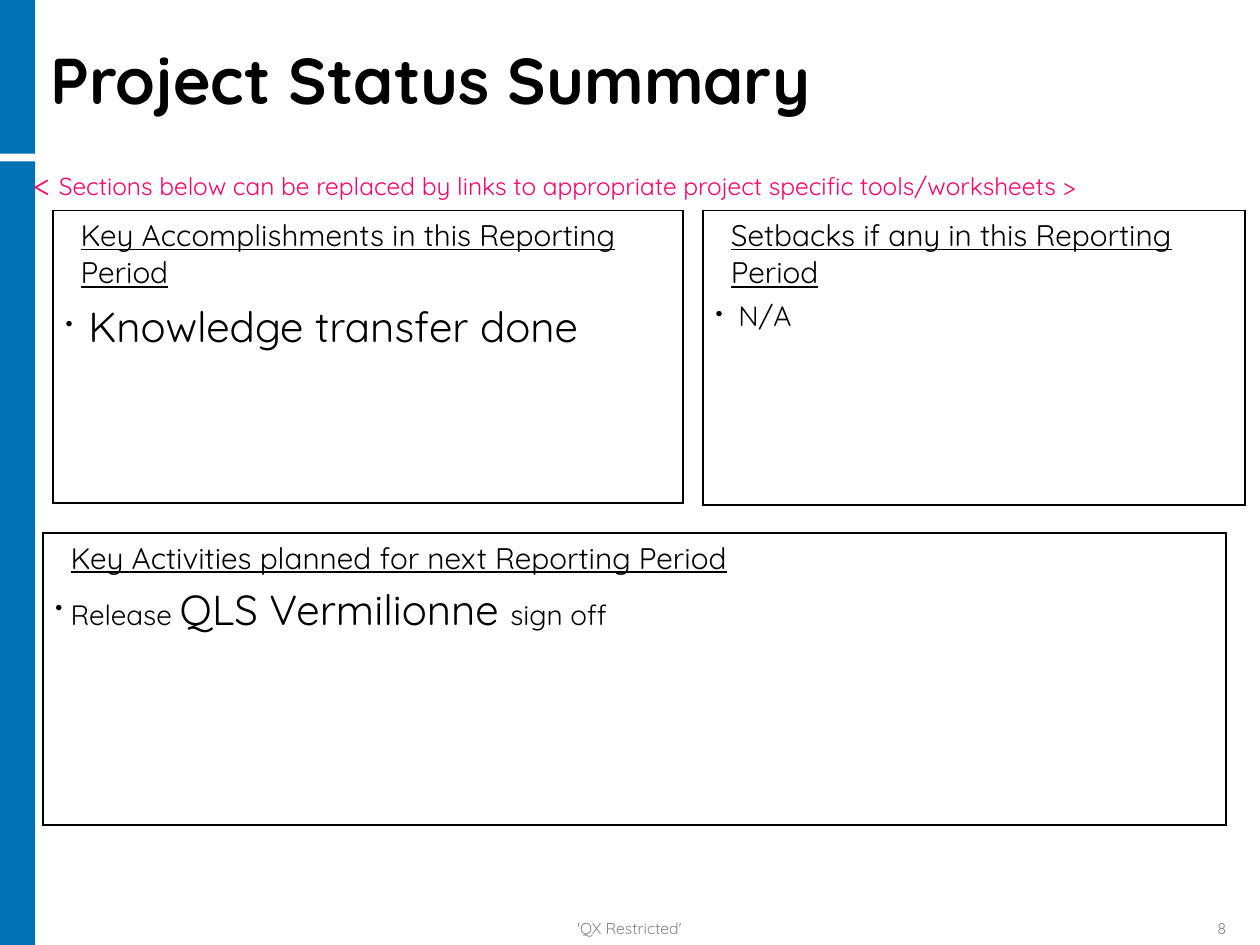
from lxml.etree import SubElement
from pptx import Presentation
from pptx.dml.color import RGBColor
from pptx.enum.shapes import MSO_SHAPE
from pptx.enum.text import MSO_ANCHOR, MSO_AUTO_SIZE, PP_ALIGN
from pptx.oxml import parse_xml
from pptx.oxml.ns import nsdecls, qn
from pptx.util import Inches, Pt

FONT = "Quicksand"
BLACK, BLUE, PINK, GREY = "000000", "0071B4", "FF0066", "848589"
INDENT = Inches(0.12)


def color(hex_code):
    return RGBColor.from_string(hex_code)


def add_span(para, text, size, hex_code=BLACK, bold=False, underline=False):
    span = para.add_run()
    span.text = text
    font = span.font
    font.name, font.size = FONT, Pt(size)
    font.bold, font.underline = bold, underline
    font.color.rgb = color(hex_code)


def add_side_bar(page, box):
    bar = page.shapes.add_shape(MSO_SHAPE.RECTANGLE, *map(Inches, box))
    bar.shadow.inherit = False
    bar.fill.solid()
    bar.fill.fore_color.rgb = color(BLUE)
    bar.line.fill.background()


def place_title(page, box, text):
    title = page.shapes.title
    title.left, title.top, title.width, title.height = map(Inches, box)
    frame = title.text_frame
    frame.margin_left = frame.margin_right = 0
    frame.margin_top = frame.margin_bottom = 0
    frame.auto_size = MSO_AUTO_SIZE.NONE
    frame.vertical_anchor = MSO_ANCHOR.MIDDLE
    para = frame.paragraphs[0]
    para.alignment = PP_ALIGN.LEFT
    para.line_spacing = 0.9
    add_span(para, text, 37, bold=True)


def add_text(page, box, spans, hex_code, align=PP_ALIGN.LEFT,
             anchor=MSO_ANCHOR.TOP, wrap=True):
    frame = page.shapes.add_textbox(*map(Inches, box)).text_frame
    frame.word_wrap = wrap
    frame.vertical_anchor = anchor
    para = frame.paragraphs[0]
    para.alignment = align
    for text, size in spans:
        add_span(para, text, size, hex_code)


def set_borders(cell, width, hex_code):
    props = cell._tc.get_or_add_tcPr()
    for index, side in enumerate(("lnL", "lnR", "lnT", "lnB")):
        props.insert(index, parse_xml(
            f'<a:{side} {nsdecls("a")} w="{Pt(width)}"><a:solidFill>'
            f'<a:srgbClr val="{hex_code}"/></a:solidFill></a:{side}>'))


def set_indent(para, first_line=0):
    props = para._p.get_or_add_pPr()
    props.set("marL", str(INDENT))
    props.set("indent", str(first_line))
    return props


def set_bullet(para):
    props = set_indent(para, -INDENT)
    tint = SubElement(props, qn("a:buClr"))
    SubElement(tint, qn("a:srgbClr"), val=BLACK)
    SubElement(props, qn("a:buSzPct"), val="75000")
    SubElement(props, qn("a:buChar"), char="•")


def add_status_panel(page, box, heading, spans, gap):
    """Bordered one-cell table: underlined heading, then one bullet."""
    table = page.shapes.add_table(1, 1, *map(Inches, box)).table
    table.first_row = table.horz_banding = False
    cell = table.cell(0, 0)
    cell.fill.background()
    set_borders(cell, 1.08, BLACK)

    para = cell.text_frame.paragraphs[0]
    para.space_before, para.space_after = Pt(6.4), Pt(2.1)
    set_indent(para)
    add_span(para, heading, 17, underline=True)

    para = cell.text_frame.add_paragraph()
    para.space_before = para.space_after = Pt(gap)
    set_bullet(para)
    for text, size in spans:
        add_span(para, text, size)


def add_footer(page, top, height):
    for left, width, text, align in (
            (2.33, 5.33, "'QX Restricted'", PP_ALIGN.CENTER),
            (9, 0.83, "8", PP_ALIGN.RIGHT)):
        add_text(page, (left, top, width, height), [(text, 9)], GREY,
                 align, MSO_ANCHOR.BOTTOM)


def build_status_page(deck):
    page = deck.slides.add_slide(deck.slide_layouts[5])
    add_side_bar(page, (0, 1.28, 0.28, 6.22))
    add_side_bar(page, (0, 0, 0.28, 1.22))
    place_title(page, (0.4, 0.21, 8.69, 0.9), "Project Status Summary")

    add_status_panel(page, (0.42, 1.67, 5, 2.32),
                     "Key Accomplishments in this Reporting Period",
                     [(" ", 16), ("Knowledge transfer done", 24)], 3)
    add_status_panel(page, (0.34, 4.23, 9.39, 2.32),
                     "Key Activities planned for next Reporting Period",
                     [("Release ", 16), ("QLS Vermilionne ", 24),
                      ("sign off", 16)], 2)
    add_status_panel(page, (5.58, 1.67, 4.3, 2.34),
                     "Setbacks if any in this Reporting Period",
                     [(" N/A", 16)], 2)

    add_text(page, (0.17, 1.25, 8.6, 0.4),
             [("< ", 18),
              ("Sections below can be replaced by links to appropriate "
               "project specific tools/worksheets >", 14)], PINK, wrap=False)
    add_footer(page, 7.25, 0.24)


def main():
    deck = Presentation()
    deck.slide_width, deck.slide_height = Inches(10), Inches(7.5)
    build_status_page(deck)
    deck.save("out.pptx")


if __name__ == "__main__":
    main()
